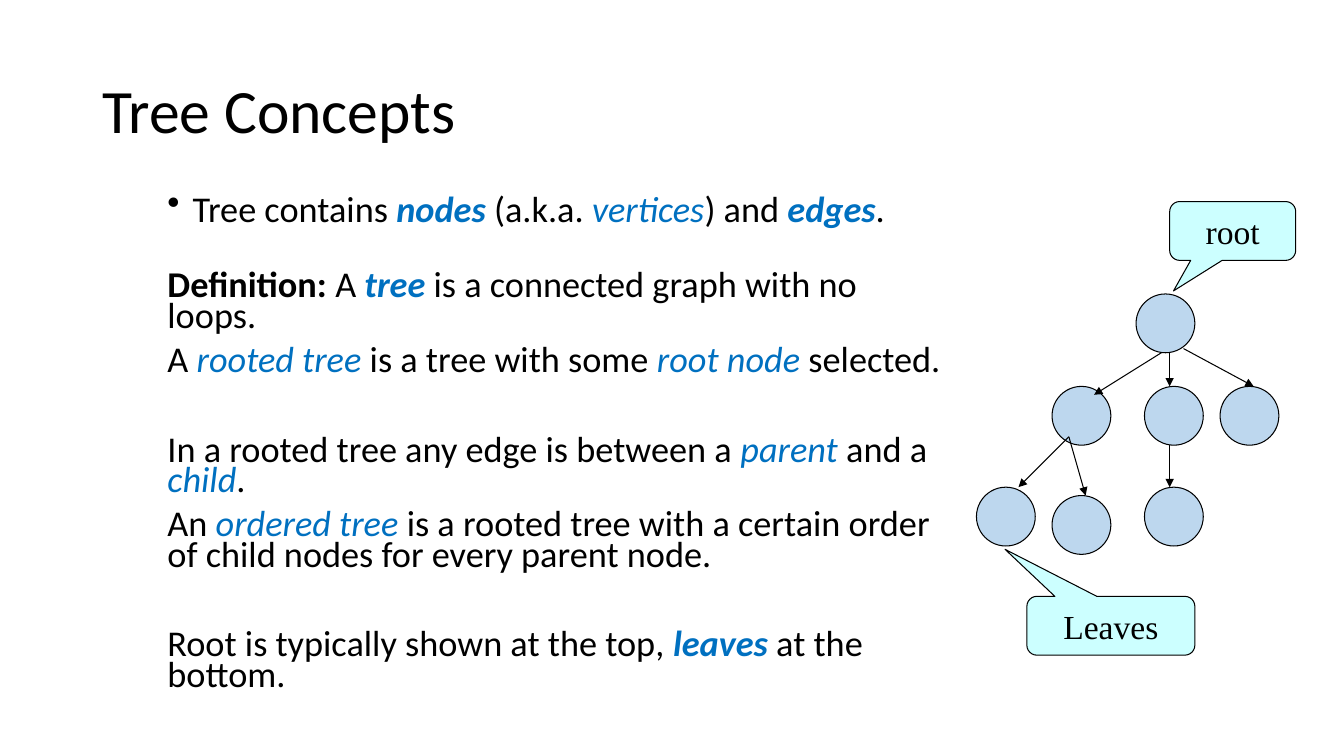
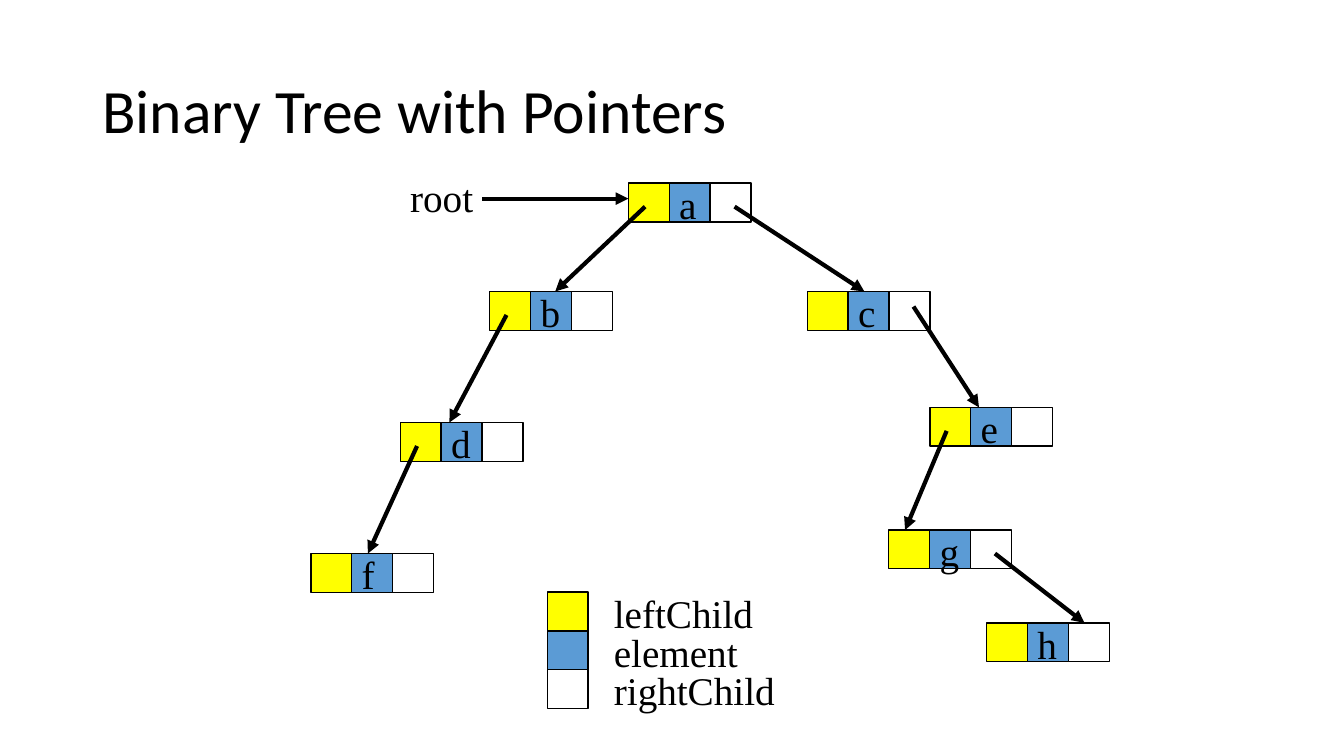
import lxml.etree
import pptx
import pptx.dml.color
import pptx.enum.shapes
import pptx.enum.text
import pptx.oxml.ns
import pptx.util

hues = {
    "ink": "000000",
    "term": "0070C0",
    "node": "BDD7EE",
    "note": "CCFFFF",
    "left": "FFFF00",
    "mid": "5B9BD5",
    "right": "FFFFFF",
}
sans, serif = "Calibri", "Times New Roman"
forms = pptx.enum.shapes.MSO_SHAPE
middle = pptx.enum.text.MSO_ANCHOR.MIDDLE
center = pptx.enum.text.PP_ALIGN.CENTER
qn = pptx.oxml.ns.qn
tint = {name: pptx.dml.color.RGBColor.from_string(hue) for name, hue in hues.items()}

deck = pptx.Presentation()
deck.slide_width = pptx.util.Inches(40 / 3)
deck.slide_height = pptx.util.Inches(7.5)
col = deck.slide_width / 160
row = deck.slide_height / 90


def put(page, x, y, wide, high, form=None, fill=None, line=0.75, text="", size=28, font=serif):
    area = [round(n) for n in (x * col, y * row, wide * col, high * row)]
    if form is None:
        item = page.shapes.add_textbox(*area)
    else:
        item = page.shapes.add_shape(form, *area)
        item.shadow.inherit = False
        item.fill.solid()
        item.fill.fore_color.rgb = tint[fill]
        item.line.color.rgb = tint["ink"]
        item.line.width = pptx.util.Pt(line)
    item.text_frame.word_wrap = True
    if text:
        item.text_frame.text = text
        face = item.text_frame.paragraphs[0].runs[0].font
        face.name, face.size = font, pptx.util.Pt(size)
        face.color.rgb = tint["ink"]
    return item


def link(page, x, y, to_x, to_y, line):
    ends = [round(n) for n in (x * col, y * row, to_x * col, to_y * row)]
    item = page.shapes.add_connector(pptx.enum.shapes.MSO_CONNECTOR.STRAIGHT, *ends)
    item.line.color.rgb = tint["ink"]
    item.line.width = pptx.util.Pt(line)
    lxml.etree.SubElement(item.line._get_or_add_ln(), qn("a:tailEnd"), type="triangle")
    lxml.etree.SubElement(item._element.spPr, qn("a:effectLst"))


pages = []
for title in ("Tree Concepts", "Binary Tree with Pointers"):
    page = deck.slides.add_slide(deck.slide_layouts[6])
    head = put(page, 11, 4.8, 138, 17.4, text=title, size=44, font=sans).text_frame
    head.vertical_anchor = middle
    head.paragraphs[0].line_spacing = 0.9
    pages.append(page)
ideas, links = pages

lines = [
    (0, [("Tree contains ", ""), ("nodes", "bi"), (" (a.k.a. ", ""), ("vertices", "i"),
         (") and ", ""), ("edges", "bi"), (".", "")]),
    (32, [("Definition: ", "b"), ("A ", ""), ("tree", "bi"),
          (" is a connected graph with no loops.", "")]),
    (10, [("A ", ""), ("rooted tree ", "i"), ("is a tree with some ", ""),
          ("root node ", "i"), ("selected.", "")]),
    (42, [("In a rooted tree any edge is between a ", ""), ("parent", "i"),
          (" and a ", ""), ("child", "i"), (".", "")]),
    (10, [("An ", ""), ("ordered tree ", "i"),
          ("is a rooted tree with a certain order of child nodes for every parent node.", "")]),
    (42, [("Root is typically shown at the top, ", ""), ("leaves", "bi"),
          (" at the bottom.", "")]),
]
body = put(ideas, 18.75, 23, 95.6, 63.1).text_frame
for rank, (gap, parts) in enumerate(lines):
    para = body.add_paragraph() if rank else body.paragraphs[0]
    if rank == 0:
        props = para._p.get_or_add_pPr()
        props.set("marL", "228600")
        props.set("indent", "-228600")
        lxml.etree.SubElement(props, qn("a:buChar"), char="•")
    para.line_spacing = 0.7
    para.space_before = pptx.util.Pt(gap)
    for words, style in parts:
        run = para.add_run()
        run.text = words
        run.font.name, run.font.size = sans, pptx.util.Pt(25.9)
        run.font.bold, run.font.italic = "b" in style, "i" in style
        run.font.color.rgb = tint["term" if "i" in style else "ink"]

for x, y in ((135.25, 35), (136.25, 58), (136.25, 46), (145.25, 46),
             (125.25, 59), (116.25, 58), (125.25, 46)):
    put(ideas, x, y, 7, 7, forms.OVAL, "node")
for ends in ((138.25, 42, 130.25, 47), (139.25, 42, 139.25, 46), (140.9, 41.5, 149.25, 46),
             (139.25, 53, 139.25, 58), (127.25, 52, 121.25, 58), (127.25, 52, 129.25, 59)):
    link(ideas, *ends, 0.75)
for text, x, y, wide, tip in (("Leaves", 122.25, 71, 20, (-0.63, -1.3)),
                              ("root", 139.25, 24, 15, (-0.47, 1.02))):
    note = put(ideas, x, y, wide, 7, forms.ROUNDED_RECTANGULAR_CALLOUT, "note", text=text, size=24)
    for rank, value in enumerate((*tip, 0.17)):
        note.adjustments[rank] = value
    note.text_frame.vertical_anchor = middle
    note.text_frame.paragraphs[0].alignment = center

wide, high = 4.87, 4.62
rise, tall = 0.95, 6.84
cells = ("left", "mid", "right")
nodes = {
    "a": (74.8, 21.8), "c": (96.1, 34.7), "b": (58.3, 34.7), "d": (47.65, 50.3),
    "f": (37, 65.9), "e": (110.7, 48.5), "g": (105.8, 63.1), "h": (117.45, 74.15),
}
for name, (x, y) in nodes.items():
    for rank, fill in enumerate(cells):
        put(links, x + rank * wide, y, wide, high, forms.RECTANGLE, fill, 1)
    put(links, x + wide, y - rise, wide, tall, text=name)

start = {"left": 2, "right": 12.65}
for top, side, drop, low, end in (
    ("a", "left", 2.8, "b", 7.8), ("a", "right", 2.8, "c", 6.8),
    ("b", "left", 2.8, "d", 5.85), ("d", "left", 2.8, "f", 6.8),
    ("c", "right", 1.8, "e", 5.85), ("e", "left", 2.8, "g", 1.95),
    ("g", "right", 2.8, "h", 11.65),
):
    x, y = nodes[top]
    to_x, to_y = nodes[low]
    link(links, x + start[side], y + drop, to_x + end, to_y, 3)

for rank, (fill, text) in enumerate(zip(cells, ("leftChild", "element", "rightChild"))):
    y = 70.5 + rank * high
    put(links, 65.15, y, wide, high, forms.RECTANGLE, fill, 1)
    put(links, 71.9, y - rise, 34, tall, text=text)
put(links, 47.65, 20.05, 11.65, tall, text="root")
link(links, 57.4, 23.65, nodes["a"][0], 23.65, 3)

deck.save("out.pptx")
